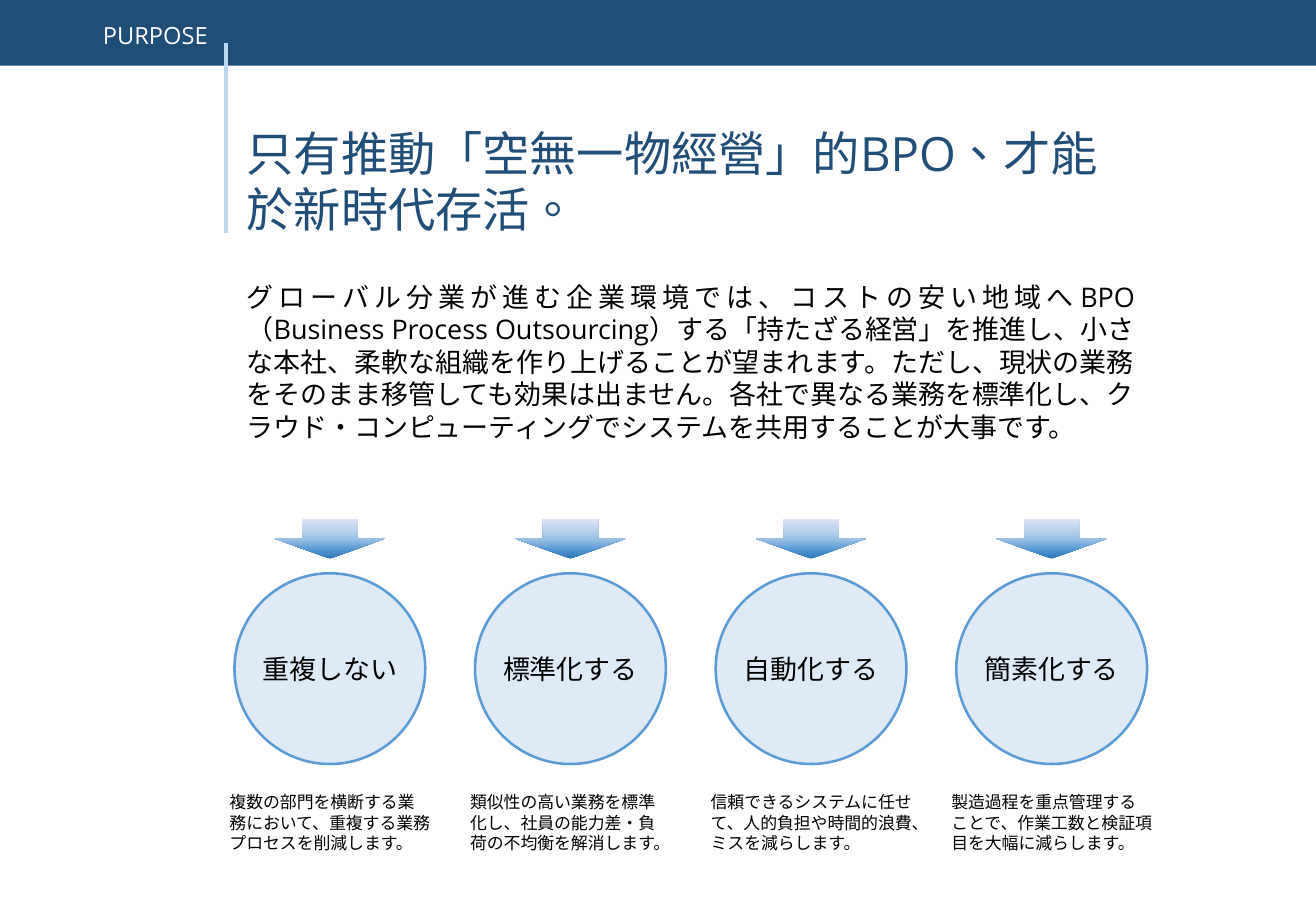
from copy import deepcopy
from lxml import etree
from pptx import Presentation
from pptx.dml.color import RGBColor
from pptx.enum.lang import MSO_LANGUAGE_ID as LANG
from pptx.enum.shapes import MSO_CONNECTOR, MSO_SHAPE as SHAPE
from pptx.enum.text import MSO_ANCHOR as ANCHOR, MSO_AUTO_SIZE as FIT, PP_ALIGN as ALIGN
from pptx.oxml.ns import qn
from pptx.util import Pt

PX = 9144  # 100 px to the inch
WIDTH, HEIGHT = 1083, 750
LATIN, ASIAN = "Open Sans", "Noto Sans CJK JP"

NAVY = RGBColor(0x1F, 0x4E, 0x79)
BLUE = RGBColor(0x5B, 0x9B, 0xD5)
PALE = RGBColor(0xDE, 0xEB, 0xF7)
RULE = RGBColor(0xBD, 0xD7, 0xEE)
BLACK = RGBColor(0, 0, 0)
WHITE = RGBColor(0xFF, 0xFF, 0xFF)
FADE = [
    (0, RGBColor(0x2E, 0x75, 0xB6)),
    (0.25, BLUE),
    (0.5, RGBColor(0x9D, 0xC3, 0xE6)),
    (1, RGBColor(0xE0, 0xE5, 0xF7)),
]

TITLE = "只有推動「空無一物經營」的BPO、才能於新時代存活。"
BODY = (
    "グローバル分業が進む企業環境では、コストの安い地域へBPO"
    "（Business Process Outsourcing）する「持たざる経営」を推進し、"
    "小さな本社、柔軟な組織を作り上げることが望まれます。"
    "ただし、現状の業務をそのまま移管しても効果は出ません。"
    "各社で異なる業務を標準化し、"
    "クラウド・コンピューティングでシステムを共用することが大事です。"
)
STEPS = [
    ("重複しない", "複数の部門を横断する業務において、重複する業務プロセスを削減します。"),
    ("標準化する", "類似性の高い業務を標準化し、社員の能力差・負荷の不均衡を解消します。"),
    ("自動化する", "信頼できるシステムに任せて、人的負担や時間的浪費、ミスを減らします。"),
    ("簡素化する", "製造過程を重点管理することで、作業工数と検証項目を大幅に減らします。"),
]


def emu(*box):
    return [n * PX for n in box]


def write(shape, text, size, color, align=ALIGN.LEFT, anchor=ANCHOR.TOP, lang=LANG.JAPANESE):
    frame = shape.text_frame
    frame.text = text
    frame.word_wrap = True
    frame.auto_size = FIT.NONE
    frame.vertical_anchor = anchor
    para = frame.paragraphs[0]
    para.alignment = align
    para.space_before = Pt(0)
    font = para.runs[0].font
    font.size = Pt(size)
    font.color.rgb = color
    font.name = LATIN
    font.language_id = lang
    props = para.runs[0]._r.get_or_add_rPr()
    etree.SubElement(props, qn("a:ea")).set("typeface", ASIAN)
    return para


def add_text(slide, box, *args, **style):
    write(slide.shapes.add_textbox(*emu(*box)), *args, **style)


def add_shape(slide, kind, box, fill=None):
    shape = slide.shapes.add_shape(kind, *emu(*box))
    shape.shadow.inherit = False
    shape.line.fill.background()
    if fill is not None:
        shape.fill.solid()
        shape.fill.fore_color.rgb = fill
    return shape


def fade(shape):
    """Fill the shape with the blue fade, dark at the foot."""
    fill = shape.fill
    fill.gradient()
    fill.gradient_angle = 90
    stops = shape._element.spPr.find(qn("a:gradFill")).find(qn("a:gsLst"))
    for _ in FADE[2:]:
        stops.append(deepcopy(stops[0]))
    for stop, (place, color) in zip(fill.gradient_stops, FADE):
        stop.position = place
        stop.color.rgb = color


def add_header(slide, x, y, w, h):
    add_shape(slide, SHAPE.RECTANGLE, (x, y, w, h), NAVY)
    add_text(slide, (x + 41, y + 12, 140, 34), "PURPOSE", 14, WHITE, ALIGN.RIGHT)


def add_rule(slide, x, y, h):
    rule = slide.shapes.add_connector(MSO_CONNECTOR.STRAIGHT, *emu(x, y, x, y + h))
    rule.line.color.rgb = RULE
    rule.line.width = Pt(2.25)
    etree.SubElement(rule._element.spPr, qn("a:effectLst"))


def place(holder, box):
    holder.left, holder.top, holder.width, holder.height = emu(*box)


def add_intro(slide, x, y, w):
    title, body = slide.placeholders
    place(title, (x, y, w, 104))
    write(title, TITLE, 28, NAVY, lang=LANG.TRADITIONAL_CHINESE)
    place(body, (x, y + 129, w, 145))
    para = write(body, BODY, 16, BLACK, ALIGN.JUSTIFY)
    props = para._p.get_or_add_pPr()
    props.set("marL", "0")
    props.set("indent", "0")
    etree.SubElement(props, qn("a:buNone"))


def add_step(slide, x, y, label, note):
    fade(add_shape(slide, SHAPE.DOWN_ARROW, (x + 47, y, 91, 33)))
    disc = add_shape(slide, SHAPE.OVAL, (x + 14, y + 45, 157, 157), PALE)
    disc.line.color.rgb = BLUE
    disc.line.width = Pt(1.5)
    write(disc, label, 16, BLACK, ALIGN.CENTER, ANCHOR.MIDDLE)
    disc.text_frame.margin_left = disc.text_frame.margin_right = 0
    add_text(slide, (x, y + 220, 185, 61), note, 10, BLACK)


def main():
    deck = Presentation()
    deck.slide_width, deck.slide_height = emu(WIDTH, HEIGHT)
    slide = deck.slides.add_slide(deck.slide_layouts[1])
    add_intro(slide, 193, 97, 751)
    add_header(slide, 0, 0, WIDTH, 54)
    for i, (label, note) in enumerate(STEPS):
        add_step(slide, 179 + 198 * i, 427, label, note)
    add_rule(slide, 186, 35, 157)
    deck.save("out.pptx")


if __name__ == "__main__":
    main()
